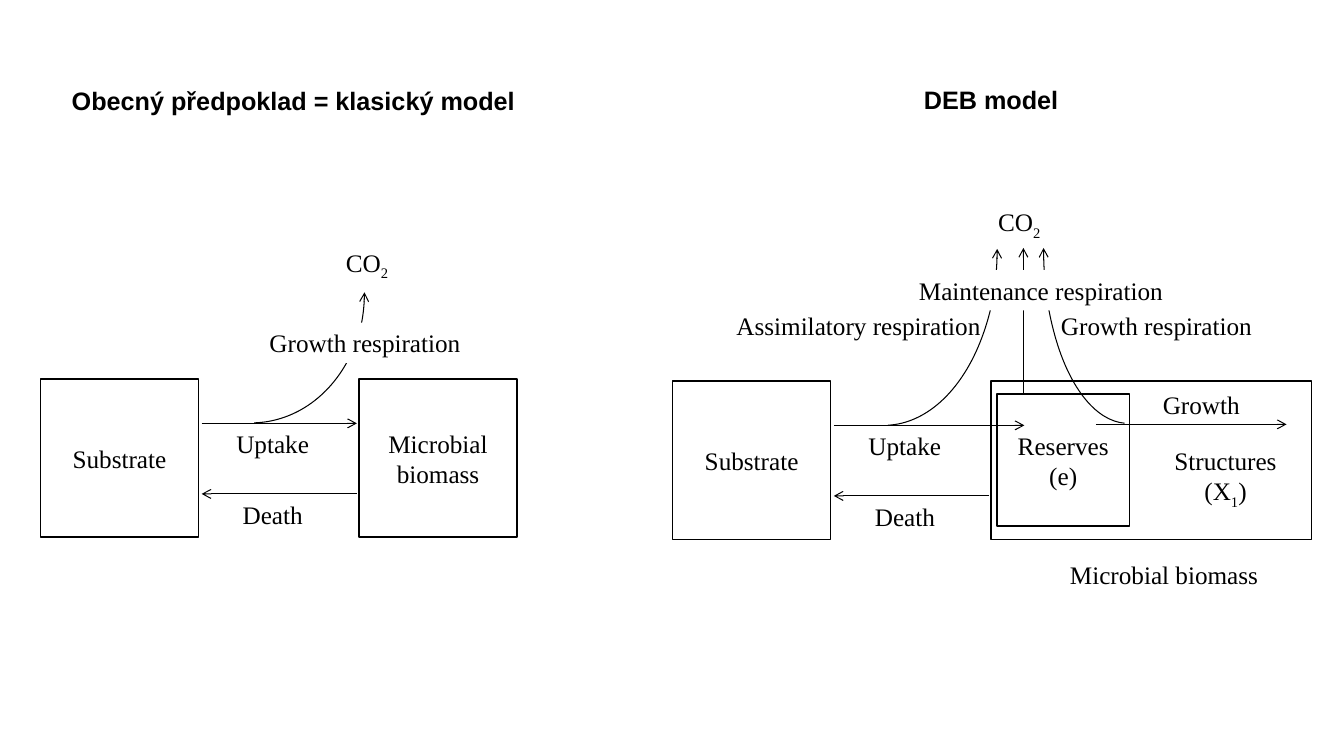
from dataclasses import dataclass

from lxml.etree import SubElement
from pptx import Presentation
from pptx.dml.color import RGBColor
from pptx.enum.shapes import MSO_CONNECTOR as Connector, MSO_SHAPE as Preset
from pptx.enum.text import MSO_ANCHOR as Anchor, MSO_AUTO_SIZE as AutoSize, PP_ALIGN as Align
from pptx.oxml.ns import qn
from pptx.slide import Slide
from pptx.text.text import TextFrame
from pptx.util import Inches, Pt

BLACK = "000000"
WHITE = "FFFFFF"
SERIF = "Times New Roman"
LABEL_HEIGHT = 0.4
SIDE = 1.57
DEB_SHIFT = (6.27, 0.02)


@dataclass
class Box:
    left: float
    top: float
    width: float
    height: float
    text: str = ""


@dataclass
class Label:
    left: float
    top: float
    width: float
    text: str
    height: float = LABEL_HEIGHT
    masked: bool = False


@dataclass
class Arrow:
    start: tuple[float, float]
    end: tuple[float, float]


@dataclass
class Arc:
    left: float
    top: float
    width: float
    height: float
    flipped: bool = False


@dataclass
class Model:
    title: Label
    boxes: list[Box]
    arrows: list[Arrow]
    arcs: list[Arc]
    labels: list[Label]


def exchange(shift: tuple[float, float], uptake_end: float) -> tuple[Box, list[Arrow], list[Label]]:
    dx, dy = shift
    substrate = Box(0.4 + dx, 3.76 + dy, SIDE, SIDE, "Substrate")
    arrows = [
        Arrow((2 + dx, 4.2 + dy), (uptake_end, 4.2 + dy)),
        Arrow((3.54 + dx, 4.9 + dy), (2 + dx, 4.9 + dy)),
    ]
    labels = [
        Label(2.24 + dx, 4.2 + dy, 0.93, "Uptake"),
        Label(2.3 + dx, 4.9 + dy, 0.81, "Death"),
    ]
    return substrate, arrows, labels


def classic_model() -> Model:
    substrate, arrows, labels = exchange((0, 0), 3.54)
    return Model(
        Label(0.55, 0.8, 4.72, "Obecný předpoklad = klasický model"),
        [substrate, Box(3.56, 3.76, SIDE, SIDE, "Microbial biomass")],
        arrows,
        [Arc(1.2, 1.78, 2.59, 2.24)],
        labels + [
            Label(3.32, 2.4, 0.64, "CO_2_"),
            Label(2.56, 3.2, 2.12, "Growth respiration", masked=True),
        ],
    )


def deb_model() -> Model:
    substrate, arrows, labels = exchange(DEB_SHIFT, 10.16)
    return Model(
        Label(7.47, 0.79, 4.72, "DEB model"),
        [
            Box(9.83, 3.78, 3.18, SIDE),
            substrate,
            Box(9.89, 3.91, 1.31, 1.31, "Reserves\n(e)"),
        ],
        arrows + [
            Arrow((10.87, 4.21), (12.76, 4.21)),
            Arrow((10.15, 3.91), (10.15, 2.46)),
        ],
        [Arc(7.02, 1.35, 3.5, 2.24), Arc(9.45, 1.62, 3.48, 1.68, flipped=True)],
        labels + [
            Label(9.79, 2, 0.64, "CO_2_"),
            Label(9, 2.68, 2.65, "Maintenance respiration", masked=True),
            Label(7.19, 3.03, 2.65, "Assimilatory respiration"),
            Label(10.41, 3.03, 2.12, "Growth respiration"),
            Label(11.43, 3.81, 0.97, "Growth"),
            Label(11.54, 4.37, 1.23, "Structures\n(X_1_)", height=0.71),
            Label(10.5, 5.5, 2.09, "Microbial biomass"),
        ],
    )


def color(value: str) -> RGBColor:
    return RGBColor.from_string(value)


def write(frame: TextFrame, text: str, font: str = SERIF, bold: bool = False) -> None:
    for index, words in enumerate(text.split("\n")):
        para = frame.paragraphs[0] if index == 0 else frame.add_paragraph()
        para.alignment = Align.CENTER
        for position, piece in enumerate(words.split("_")):
            if not piece:
                continue
            span = para.add_run()
            span.text = piece
            span.font.name = font
            span.font.size = Pt(18)
            span.font.bold = bold
            span.font.color.rgb = color(BLACK)
            if position % 2:
                span.font._element.set("baseline", "-25000")


def add_preset(page: Slide, preset: Preset, item: Box | Arc | Label):
    shape = page.shapes.add_shape(
        preset, Inches(item.left), Inches(item.top), Inches(item.width), Inches(item.height))
    shape.shadow.inherit = False
    shape.fill.background()
    return shape


def stroke(line, width: float, arrowhead: str = "") -> None:
    line.color.rgb = color(BLACK)
    line.width = Pt(width)
    if arrowhead:
        SubElement(line._get_or_add_ln(), qn(f"a:{arrowhead}")).set("type", "arrow")


def draw_box(page: Slide, box: Box) -> None:
    shape = add_preset(page, Preset.RECTANGLE, box)
    stroke(shape.line, 1)
    if box.text:
        shape.text_frame.vertical_anchor = Anchor.MIDDLE
        write(shape.text_frame, box.text)


def draw_arrow(page: Slide, arrow: Arrow) -> None:
    ends = [Inches(value) for value in (*arrow.start, *arrow.end)]
    connector = page.shapes.add_connector(Connector.STRAIGHT, *ends)
    stroke(connector.line, 0.75, "tailEnd")
    SubElement(connector._element.spPr, qn("a:effectLst"))


def draw_arc(page: Slide, arc: Arc) -> None:
    shape = add_preset(page, Preset.ARC, arc)
    shape.adjustments[0] = 162
    shape.adjustments[1] = 215.29
    shape.rotation = 90
    if arc.flipped:
        shape._element.spPr.find(qn("a:xfrm")).set("flipV", "1")
    stroke(shape.line, 0.75, "headEnd")


def draw_label(page: Slide, label: Label, title: bool = False) -> None:
    if label.masked:
        shape = add_preset(page, Preset.RECTANGLE, label)
        shape.fill.solid()
        shape.fill.fore_color.rgb = color(WHITE)
        shape.line.fill.background()
    else:
        shape = page.shapes.add_textbox(
            Inches(label.left), Inches(label.top), Inches(label.width), Inches(label.height))
    frame = shape.text_frame
    frame.word_wrap = title
    frame.auto_size = AutoSize.SHAPE_TO_FIT_TEXT
    frame.vertical_anchor = Anchor.TOP
    write(frame, label.text, "Arial" if title else SERIF, title)


def draw_model(page: Slide, model: Model) -> None:
    for draw, items in (
        (draw_box, model.boxes),
        (draw_arrow, model.arrows),
        (draw_arc, model.arcs),
        (draw_label, model.labels),
    ):
        for item in items:
            draw(page, item)
    draw_label(page, model.title, title=True)


def main() -> None:
    deck = Presentation()
    deck.slide_width, deck.slide_height = Inches(13.33), Inches(7.5)
    page = deck.slides.add_slide(deck.slide_layouts[6])
    for model in (classic_model(), deb_model()):
        draw_model(page, model)
    deck.save("out.pptx")


if __name__ == "__main__":
    main()
